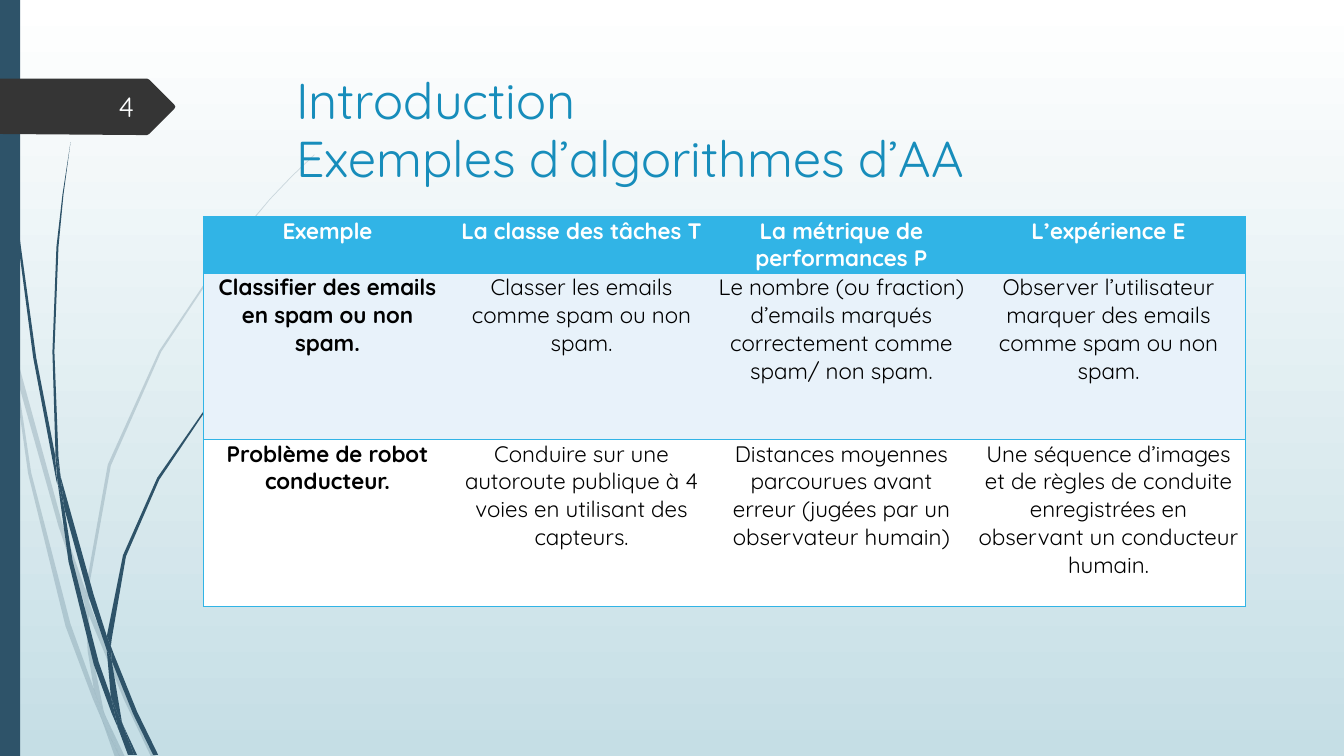
from lxml.etree import SubElement
from pptx import Presentation
from pptx.dml.color import RGBColor
from pptx.enum.shapes import MSO_SHAPE
from pptx.enum.text import MSO_ANCHOR, MSO_AUTO_SIZE, PP_ALIGN
from pptx.oxml.ns import qn
from pptx.util import Cm, Pt

FONT = "Quicksand"
NAVY = RGBColor(0x2E, 0x53, 0x69)
CHARCOAL = RGBColor(0x35, 0x35, 0x35)
TITLE_BLUE = RGBColor(0x17, 0x8D, 0xBB)
SKY = RGBColor(0x31, 0xB4, 0xE6)
PALE_SKY = RGBColor(0xE8, 0xF2, 0xFA)
MIST = RGBColor(0xC5, 0xDE, 0xE5)
WHITE = RGBColor(0xFF, 0xFF, 0xFF)
NUMBER_WHITE = RGBColor(0xFE, 0xFF, 0xFF)
BLACK = RGBColor(0, 0, 0)
NO_GRID_STYLE = "{2D5ABB26-0587-4C30-8999-92F81FD0307C}"
OUTLINE_UNIT = Cm(0.0254)

PALE_BLADES = [
    [(11, 350), (9, 322), (0, 282), (0, 299), (10, 344)],
    [(58, 522), (84, 599), (85, 586), (62, 520), (14, 345), (17, 376)],
    [(92, 607), (88, 596), (88, 610), (123, 694), (150, 751), (155, 751), (127, 692)],
    [(119, 751), (124, 751), (105, 711)],
    [(93, 683), (70, 619), (31, 469), (17, 376), (11, 350), (28, 470),
     (65, 621), (92, 693), (101, 714), (99, 707)],
    [(84, 599), (87, 646), (93, 683), (96, 692), (105, 711), (103, 706),
     (91, 646), (88, 610), (88, 608)],
    [(88, 584), (110, 462), (160, 349), (229, 245), (268, 198), (290, 175),
     (312, 154), (312, 153), (289, 175), (268, 197), (228, 244), (158, 348),
     (107, 461), (85, 584), (85, 586), (88, 596)],
    [(101, 714), (114, 751), (119, 751)],
    [(88, 608), (88, 610), (88, 596), (85, 586), (84, 599)],
    [(96, 692), (93, 683), (99, 707), (101, 714), (119, 751), (105, 711)],
]
DARK_BLADES = [
    [(7, 110), (17, 233), (33, 355), (56, 477), (57, 481), (55, 457), (55, 453),
     (36, 355), (19, 232), (8, 109), (5, 48), (4, 0), (3, 0), (4, 48)],
    [(88, 592), (106, 645), (106, 633), (106, 631), (93, 590), (60, 472), (64, 505)],
    [(113, 649), (110, 641), (111, 656), (132, 708), (152, 749), (157, 749), (136, 706)],
    [(110, 691), (98, 657), (72, 556), (64, 505), (57, 477), (68, 557),
     (93, 659), (111, 708), (117, 722), (116, 717)],
    [(60, 472), (58, 453), (54, 349), (58, 245), (63, 193), (70, 141),
     (62, 193), (56, 245), (52, 349), (55, 449)],
    [(133, 749), (136, 749), (122, 719)],
    [(57, 477), (64, 505), (60, 472), (55, 449), (55, 453)],
    [(111, 633), (125, 552), (158, 476), (205, 406), (231, 374), (245, 359),
     (261, 344), (260, 344), (245, 358), (231, 373), (204, 405), (156, 474),
     (122, 551), (106, 631), (110, 641)],
    [(117, 722), (127, 749), (131, 749)],
    [(106, 645), (110, 691), (116, 706), (122, 719), (121, 716), (111, 656), (109, 651)],
    [(106, 645), (109, 651), (111, 656), (110, 641), (106, 631), (106, 633)],
    [(116, 706), (110, 691), (116, 717), (117, 722), (130, 749), (133, 749), (122, 719)],
]
NUMBER_TAG = [(173, 108), (148, 133), (146, 134), (136, 134), (0, 133), (0, 78),
              (146, 78), (148, 79), (173, 104), (174, 106)]

ROWS = [
    ["Exemple", "La classe des tâches T", "La métrique de performances P", "L’expérience E"],
    ["Classifier des emails en spam ou non spam.",
     "Classer les emails comme spam ou non spam.",
     "Le nombre (ou fraction) d’emails marqués correctement comme spam/ non spam.",
     "Observer l’utilisateur marquer des emails comme spam ou non spam."],
    ["Problème de robot conducteur.",
     "Conduire sur une autoroute publique à 4 voies en utilisant des capteurs.",
     "Distances moyennes parcourues avant erreur (jugées par un observateur humain)",
     "Une séquence d’images et de règles de conduite enregistrées en observant "
     "un conducteur humain."],
]
COLUMN_WIDTHS = [Cm(6.25), Cm(6.55), Cm(6.55), Cm(6.91)]
ROW_HEIGHTS = [Cm(1.42), Cm(4.2), Cm(4.2)]
ROW_FILLS = [SKY, PALE_SKY, WHITE]


def paint(shape, color):
    shape.shadow.inherit = False
    shape.fill.solid()
    shape.fill.fore_color.rgb = color
    shape.line.fill.background()


def add_outline(page, points, color, opacity=100):
    builder = page.shapes.build_freeform(*points[0], scale=OUTLINE_UNIT)
    builder.add_line_segments(points[1:], close=True)
    shape = builder.convert_to_shape()
    paint(shape, color)
    if opacity < 100:
        fill_color = next(shape._element.spPr.iter(qn("a:srgbClr")))
        SubElement(fill_color, qn("a:alpha"), val=str(opacity * 1000))


def style_paragraph(para, size, color, align, bold=False):
    para.alignment = align
    para.font.name = FONT
    para.font.size = Pt(size)
    para.font.color.rgb = color
    para.font.bold = bold


def set_background(page):
    fill = page.background.fill
    fill.gradient()
    fill.gradient_angle = 270
    for stop, position, color in zip(fill.gradient_stops, (0, 1), (WHITE, MIST)):
        stop.position = position
        stop.color.rgb = color


def set_title(page, text):
    title = page.shapes.title
    title.left, title.top, title.width, title.height = Cm(7.21), Cm(1.73), Cm(24.77), Cm(3.56)
    frame = title.text_frame
    frame.text = text
    frame.auto_size = MSO_AUTO_SIZE.NONE
    frame.vertical_anchor = MSO_ANCHOR.TOP
    para = frame.paragraphs[0]
    style_paragraph(para, 36, TITLE_BLUE, PP_ALIGN.LEFT)
    para.line_spacing = 0.95
    title._element.getparent().append(title._element)


def add_borders(cell, sides):
    properties = cell._tc.get_or_add_tcPr()
    for side in sides:
        line = SubElement(properties, qn(f"a:ln{side}"), w=str(Pt(1)))
        SubElement(SubElement(line, qn("a:solidFill")), qn("a:srgbClr"), val=str(SKY))


def add_examples_table(page):
    frame = page.shapes.add_table(len(ROWS), len(COLUMN_WIDTHS), Cm(5.13), Cm(5.46),
                                  sum(COLUMN_WIDTHS), sum(ROW_HEIGHTS))
    table = frame.table
    table.horz_banding = False
    table._tbl.tblPr.find(qn("a:tableStyleId")).text = NO_GRID_STYLE
    for column, width in zip(table.columns, COLUMN_WIDTHS):
        column.width = width
    last_column = len(COLUMN_WIDTHS) - 1
    for row_index, texts in enumerate(ROWS):
        table.rows[row_index].height = ROW_HEIGHTS[row_index]
        for column_index, text in enumerate(texts):
            cell = table.cell(row_index, column_index)
            cell.text = text
            cell.margin_left = cell.margin_right = Cm(0.18)
            cell.margin_top = cell.margin_bottom = 0
            style_paragraph(cell.text_frame.paragraphs[0], 16,
                            BLACK if row_index else WHITE, PP_ALIGN.CENTER,
                            bold=row_index == 0 or column_index == 0)
            outer_sides = {0: "L", last_column: "R"}.get(column_index, "")
            add_borders(cell, outer_sides + "TB")
            cell.fill.solid()
            cell.fill.fore_color.rgb = ROW_FILLS[row_index]


def add_page_number(page, number):
    box = page.shapes.add_textbox(Cm(1.47), Cm(2.18), Cm(2.16), Cm(1.02))
    frame = box.text_frame
    frame.word_wrap = True
    frame.vertical_anchor = MSO_ANCHOR.MIDDLE
    frame.text = number
    style_paragraph(frame.paragraphs[0], 20, NUMBER_WHITE, PP_ALIGN.RIGHT)


def main():
    """Build the slide of machine learning examples and save it."""
    deck = Presentation()
    deck.slide_width, deck.slide_height = Cm(33.87), Cm(19.05)
    page = deck.slides.add_slide(deck.slide_layouts[5])
    set_background(page)
    for blade in PALE_BLADES:
        add_outline(page, blade, NAVY, opacity=20)
    for blade in DARK_BLADES:
        add_outline(page, blade, NAVY)
    side_bar = page.shapes.add_shape(MSO_SHAPE.RECTANGLE, 0, 0, Cm(0.51), deck.slide_height)
    paint(side_bar, NAVY)
    add_outline(page, NUMBER_TAG, CHARCOAL)
    set_title(page, "Introduction\vExemples d’algorithmes d’AA")
    add_examples_table(page)
    add_page_number(page, "4")
    deck.save("out.pptx")


if __name__ == "__main__":
    main()
